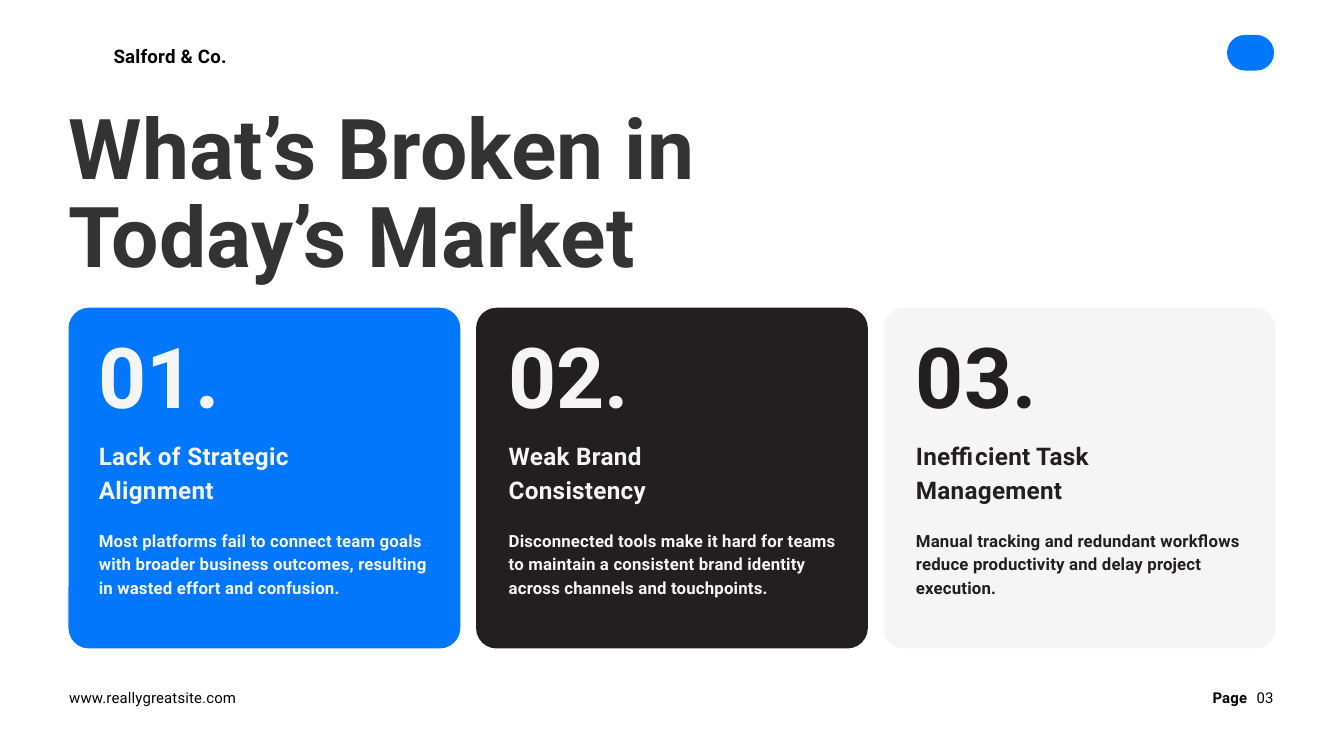
"""Build the market problems slide with three numbered cards."""
from dataclasses import dataclass

from pptx import Presentation
from pptx.dml.color import RGBColor
from pptx.enum.shapes import MSO_SHAPE
from pptx.enum.text import MSO_ANCHOR, MSO_AUTO_SIZE, PP_ALIGN
from pptx.util import Inches, Pt

ROUNDED = MSO_SHAPE.ROUNDED_RECTANGLE
TOP = MSO_ANCHOR.TOP
NO_AUTOFIT = MSO_AUTO_SIZE.NONE
LEFT, RIGHT = PP_ALIGN.LEFT, PP_ALIGN.RIGHT


@dataclass(frozen=True)
class Theme:
    font: str = "Roboto"
    blue: str = "0077FC"
    dark: str = "231F20"
    light: str = "F5F5F5"
    heading: str = "333333"
    black: str = "000000"
    display_size: float = 90
    subtitle_size: float = 26
    brand_size: float = 20
    body_size: float = 18
    footer_size: float = 16


theme = Theme()


def write_text(shape, text, *, box, size, color, bold=True, align=LEFT,
               leading=1.4, tracking=0.2):
    shape.left, shape.top, shape.width, shape.height = map(Inches, box)
    frame = shape.text_frame
    frame.word_wrap = True
    frame.auto_size = NO_AUTOFIT
    frame.vertical_anchor = TOP
    frame.margin_left = frame.margin_right = 0
    frame.margin_top = frame.margin_bottom = 0
    frame.text = text
    for paragraph in frame.paragraphs:
        paragraph.alignment = align
        paragraph.line_spacing = Pt(size * leading)
        paragraph.space_before = paragraph.space_after = Pt(0)
        for run in paragraph.runs:
            run.font.name = theme.font
            run.font.size = Pt(size)
            run.font.bold = bold
            run.font.color.rgb = RGBColor.from_string(color)
            run._r.get_or_add_rPr().set("spc", str(round(tracking * 100)))


def add_panel(shapes, box, color, corner):
    panel = shapes.add_shape(ROUNDED, *map(Inches, box))
    panel.adjustments[0] = corner
    panel.shadow.inherit = False
    panel.fill.solid()
    panel.fill.fore_color.rgb = RGBColor.from_string(color)
    panel.line.fill.background()


presentation = Presentation()
presentation.slide_width = Inches(20)
presentation.slide_height = Inches(11.25)
slide = presentation.slides.add_slide(presentation.slide_layouts[5])
shapes = slide.shapes

write_text(shapes.title, "What’s Broken in Today’s Market",
           box=(1.02, 1.61, 11.58, 2.68), size=theme.display_size,
           color=theme.heading, leading=1.05, tracking=0)

add_panel(shapes, (18.26, 0.52, 0.7, 0.53), theme.blue, 0.5)

margin_left, margin_right = 1.02, 18.98
card_top, card_width, card_height = 4.58, 5.83, 5.07
cards = [
    (theme.blue, theme.light, 1.47, "01.", "Lack of Strategic Alignment",
     "Most platforms fail to connect team goals with broader business "
     "outcomes, resulting in wasted effort and confusion."),
    (theme.dark, theme.light, 7.57, "02.", "Weak Brand\nConsistency",
     "Disconnected tools make it hard for teams to maintain a consistent "
     "brand identity across channels and touchpoints."),
    (theme.light, theme.dark, 13.63, "03.", "Inefficient Task Management",
     "Manual tracking and redundant workflows reduce productivity and "
     "delay project execution."),
]
card_step = (margin_right - margin_left - card_width) / (len(cards) - 1)

for index, (fill, ink, text_left, number, subtitle, body) in enumerate(cards):
    card_left = margin_left + index * card_step
    add_panel(shapes, (card_left, card_top, card_width, card_height), fill, 0.06)
    for text, top, width, height, size, leading, tracking in (
        (number, 5.01, 3.84, 1.36, theme.display_size, 1.05, 0),
        (subtitle, 6.5, 4.4, 0.99, theme.subtitle_size, 1.4, 0.3),
        (body, 7.84, 4.94, 1.02, theme.body_size, 1.4, 0.2),
    ):
        write_text(shapes.add_textbox(0, 0, 0, 0), text,
                   box=(text_left, top, width, height), size=size, color=ink,
                   leading=leading, tracking=tracking)

for text, box, size, bold, align in (
    ("Salford & Co.", (1.69, 0.61, 7.75, 0.38), theme.brand_size, True, LEFT),
    ("www.reallygreatsite.com", (1.03, 10.21, 3.22, 0.3), theme.footer_size, False, LEFT),
    ("Page", (17.6, 10.21, 0.96, 0.3), theme.footer_size, True, RIGHT),
    ("03", (18.46, 10.21, 0.49, 0.3), theme.footer_size, False, RIGHT),
):
    write_text(shapes.add_textbox(0, 0, 0, 0), text, box=box, size=size,
               color=theme.black, bold=bold, align=align)

presentation.save("out.pptx")
